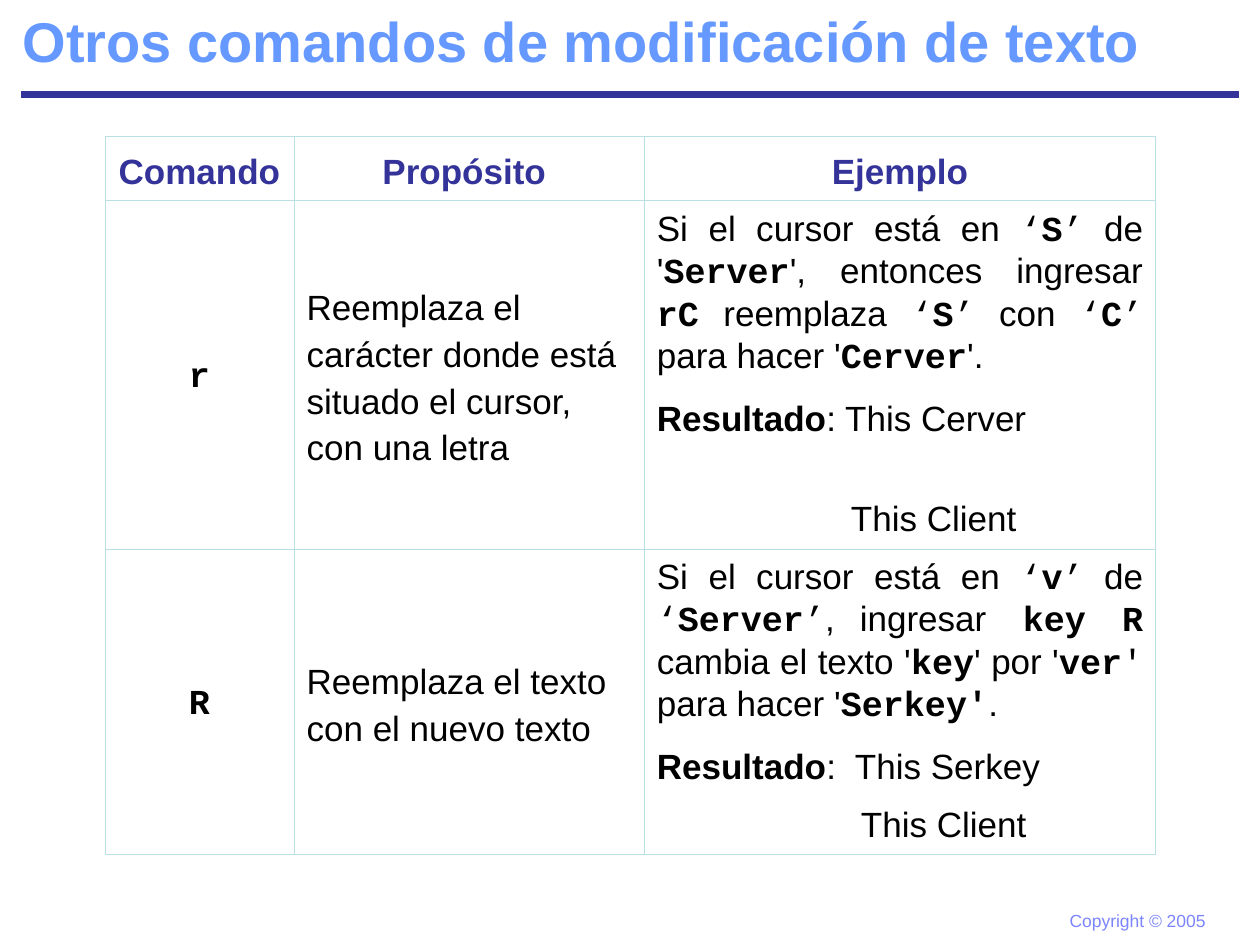
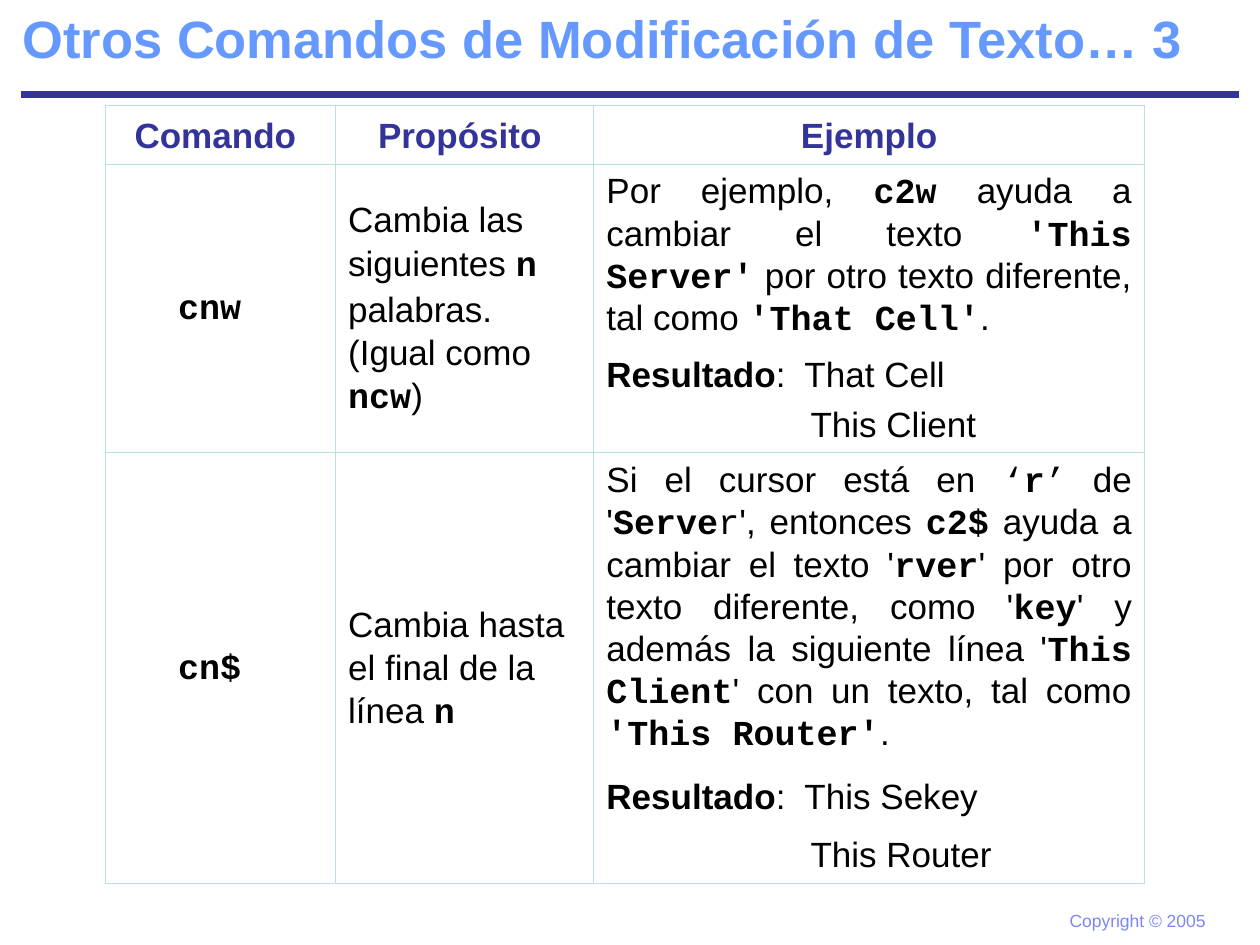
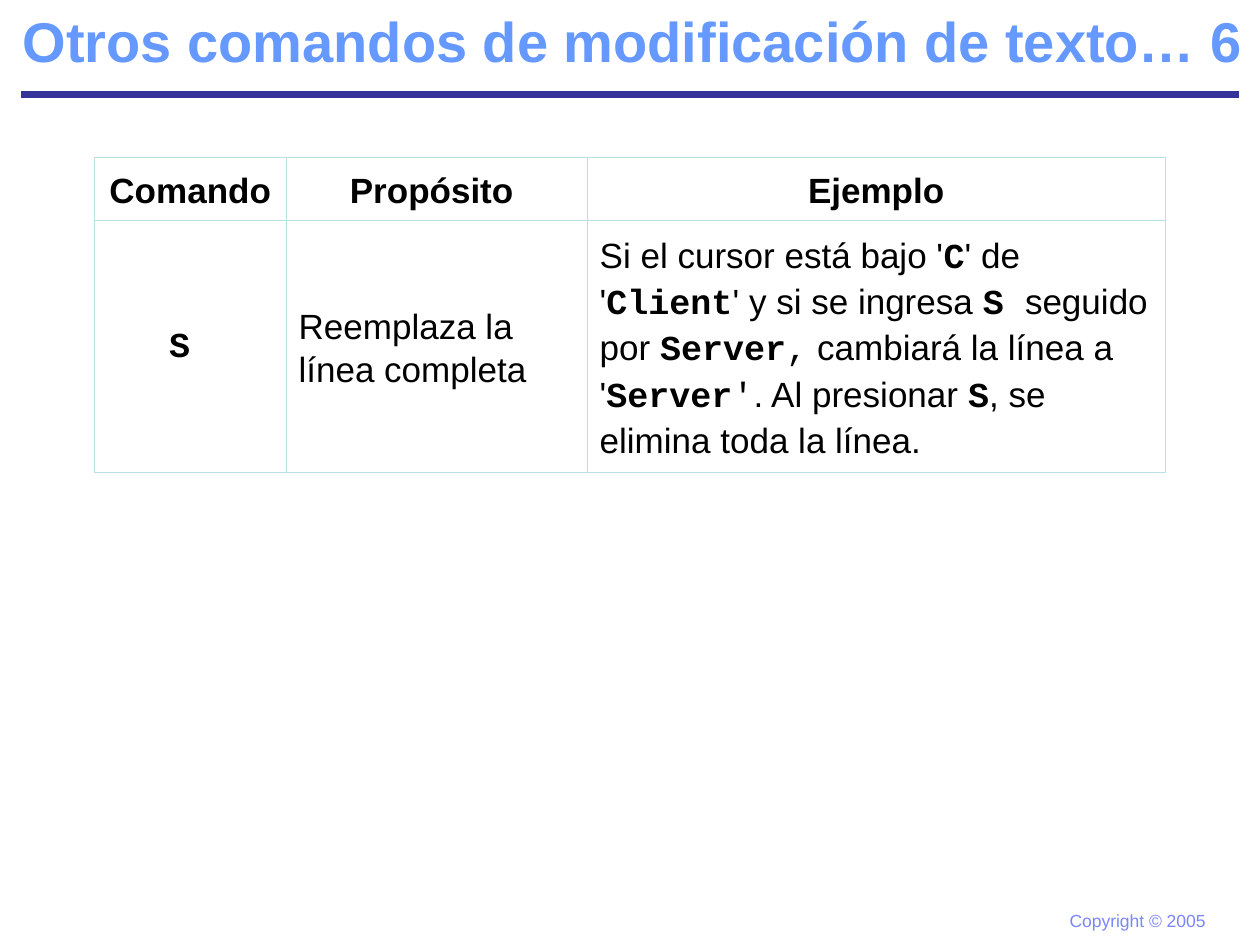
"""Build three slides of text-editing commands, each with a command table."""
from lxml import etree
from pptx import Presentation
from pptx.dml.color import RGBColor
from pptx.enum.shapes import MSO_CONNECTOR
from pptx.enum.text import MSO_ANCHOR, MSO_AUTO_SIZE, PP_ALIGN
from pptx.oxml.ns import qn
from pptx.util import Inches, Pt

NAVY = RGBColor(0x33, 0x33, 0x99)
SKY = RGBColor(0x66, 0x99, 0xFF)
LILAC = RGBColor(0x7C, 0x85, 0xFC)
AQUA = RGBColor(0xBB, 0xE0, 0xE3)
BLACK = RGBColor(0, 0, 0)
SANS, MONO = "Arial", "Courier New"
WIDTH, HEIGHT = Inches(10), Inches(7.5)
COLUMN, ROW = WIDTH // 100, HEIGHT // 75

CENTER = {"alignment": PP_ALIGN.CENTER}
LEFT = {"alignment": PP_ALIGN.LEFT}
BODY = {"alignment": PP_ALIGN.JUSTIFY, "space_before": Pt(6), "space_after": Pt(6)}
TIGHT = {**BODY, "line_spacing": 0.8}
LAST = {**LEFT, "space_before": Pt(5)}
TIGHT_LAST = {**LAST, "line_spacing": 0.8}
LOW_LAST = {**LEFT, "space_before": Pt(29)}
HEADINGS = ["*Comando *", "*Propósito *", "*Ejemplo*"]

# Asterisks switch bold and backticks switch the monospaced font.
SLIDES = [
    {
        "title": "Otros comandos de modificación de texto", "size": 32,
        "left": 8.33, "top": 10.8, "leading": 1.2, "heading": NAVY,
        "columns": [15, 27.8, 40.6], "rows": [5.08, 27.7, 24.2], "indent": [15.4, 16.2],
        "commands": [
            ("`*r*`", "Reemplaza el carácter donde está situado el cursor, con una letra", [
                ("Si el cursor está en `‘*S*’` de '`*Server*`', entonces ingresar `*rC*` "
                 "reemplaza `‘*S*’` con `‘*C*’` para hacer '`*Cerver*`'.", BODY),
                ("*Resultado*: This Cerver", BODY),
                ("This Client", LOW_LAST)]),
            ("`*R*`", "Reemplaza el texto con el nuevo texto", [
                ("Si el cursor está en `‘*v*’` de `‘*Server*’`, ingresar`* key R *`cambia "
                 "el texto '`*key*`' por '`*ver*'` para hacer '`*Serkey'*`.", BODY),
                ("*Resultado*:  This Serkey", BODY),
                ("This Client", LAST)]),
        ],
    },
    {
        "title": "Otros Comandos de Modificación de Texto… 3", "size": 30,
        "left": 8.33, "top": 8.33, "leading": 1.1, "heading": NAVY,
        "columns": [18.3, 20.5, 43.7], "rows": [4.68, 22.85, 34.25], "indent": [16.2, 16.2],
        "commands": [
            ("`*cnw *`", "Cambia las siguientes `*n*` palabras. (Igual como `*ncw*`)", [
                ("Por ejemplo, `*c2w*` ayuda a cambiar el texto `*'This Server'*` por otro "
                 "texto diferente, tal como `*'That Cell'*`.", BODY),
                ("*Resultado*:  That Cell", TIGHT),
                ("This Client", TIGHT_LAST)]),
            ("`*cn$ *`", "Cambia hasta el final de la línea `*n*`", [
                ("Si el cursor está en `‘*r*’` de '`*Serve*r`', entonces `*c2$*` ayuda a "
                 "cambiar el texto '`*rver*`' por otro texto diferente, como '`*key*`' y "
                 "además la siguiente línea '`*This Client*`' con un texto, tal como "
                 "`*'This Router'*`.", BODY),
                ("*Resultado*:  This Sekey", BODY),
                ("This Router", LAST)]),
        ],
    },
    {
        "title": "Otros comandos de modificación de texto… 6", "size": 32,
        "left": 7.5, "top": 12.5, "leading": 1.1, "heading": BLACK,
        "columns": [15.2, 23.9, 45.9], "rows": [5, 20], "indent": [0],
        "commands": [
            ("`*S *`", "Reemplaza la línea completa", [
                ("Si el cursor está bajo '`*C*`' de '`*Client*`' y si se ingresa `*S *`seguido "
                 "por `*Server*,` cambiará la línea a '`*Server*'`. Al presionar `*S*`, se "
                 "elimina toda la línea.", {**LEFT, "line_spacing": 1.1})]),
        ],
    },
]


def write(paragraph, text, size, color, style):
    """Fill a paragraph with runs read from the marked text."""
    for name, value in style.items():
        setattr(paragraph, name, value)
    for mono, part in enumerate(text.split("`")):
        for bold, piece in enumerate(part.split("*")):
            if piece:
                run = paragraph.add_run()
                run.text = piece
                run.font.color.rgb = color
                font = {"size": Pt(size), "name": MONO if mono % 2 else SANS, "bold": bold % 2 == 1}
                for name, value in font.items():
                    setattr(run.font, name, value)


def add_borders(cell):
    """Draw the four thin borders of a table cell."""
    properties = cell._tc.get_or_add_tcPr()
    for position, side in enumerate(("a:lnL", "a:lnR", "a:lnT", "a:lnB")):
        line = etree.Element(qn(side), w=str(Pt(0.45)))
        fill = etree.SubElement(line, qn("a:solidFill"))
        etree.SubElement(fill, qn("a:srgbClr"), val=str(AQUA))
        properties.insert(position, line)


presentation = Presentation()
presentation.slide_width, presentation.slide_height = WIDTH, HEIGHT

for content in SLIDES:
    slide = presentation.slides.add_slide(presentation.slide_layouts[5])

    rule = slide.shapes.add_connector(
        MSO_CONNECTOR.STRAIGHT, int(1.7 * COLUMN), int(7.5 * ROW), int(98.3 * COLUMN), int(7.5 * ROW))
    rule.line.color.rgb = NAVY
    rule.line.width = Pt(4.5)
    etree.SubElement(rule._element.spPr, qn("a:effectLst"))

    footer = slide.shapes.add_textbox(
        int(83.9 * COLUMN), int(71.7 * ROW), int(12.8 * COLUMN), int(2.7 * ROW))
    footer.text_frame.word_wrap = False
    write(footer.text_frame.paragraphs[0], "Copyright © 2005", 10, LILAC, LEFT)

    title = slide.shapes.title
    place = {"left": int(0.8 * COLUMN), "top": 0, "width": int(99.2 * COLUMN), "height": int(6.7 * ROW)}
    for name, value in place.items():
        setattr(title, name, value)
    frame = {"word_wrap": False, "auto_size": MSO_AUTO_SIZE.NONE, "vertical_anchor": MSO_ANCHOR.TOP}
    for name, value in frame.items():
        setattr(title.text_frame, name, value)
    write(title.text_frame.paragraphs[0], f"*{content['title']}*", content["size"], SKY, LEFT)

    widths = [int(share * COLUMN) for share in content["columns"]]
    heights = [int(share * ROW) for share in content["rows"]]
    table = slide.shapes.add_table(
        len(heights), len(widths), int(content["left"] * COLUMN), int(content["top"] * ROW),
        sum(widths), sum(heights)).table
    table.first_row = table.horz_banding = False
    for column, width in zip(table.columns, widths):
        column.width = width
    for row, height in zip(table.rows, heights):
        row.height = height

    spaced = {"line_spacing": content["leading"]}
    grid = [[[(heading, {**CENTER, **spaced})] for heading in HEADINGS]]
    for command, purpose, example in content["commands"]:
        grid.append([[(command, {**CENTER, **spaced})], [(purpose, {**LEFT, **spaced})], example])

    for row_index, row in enumerate(grid):
        for column_index, paragraphs in enumerate(row):
            cell = table.cell(row_index, column_index)
            cell.fill.background()
            cell.vertical_anchor = MSO_ANCHOR.MIDDLE
            add_borders(cell)
            color = BLACK if row_index else content["heading"]
            for index, (text, style) in enumerate(paragraphs):
                paragraph = cell.text_frame.add_paragraph() if index else cell.text_frame.paragraphs[0]
                write(paragraph, text, 20, color, style if index else {**style, "space_before": Pt(0)})
            if len(paragraphs) > 1:
                indent = int(content["indent"][row_index - 1] * COLUMN)
                paragraph._p.get_or_add_pPr().set("marL", str(indent))

presentation.save("out.pptx")
